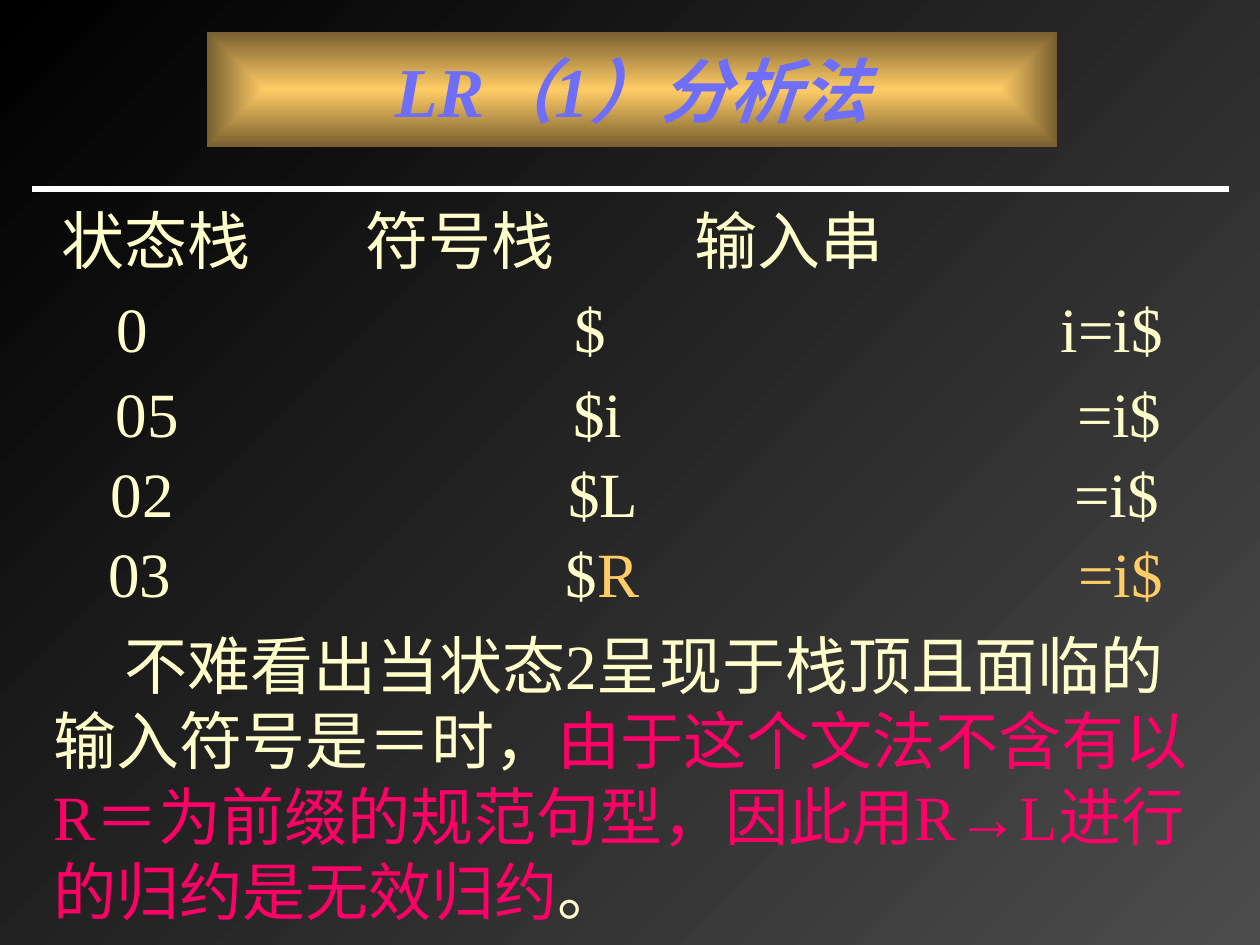
import pptx
import pptx.util
import pptx.dml.color
import pptx.enum.shapes
import pptx.enum.text
import pptx.oxml
import pptx.oxml.ns
import lxml.etree

WIDE, HIGH = 10, 7.5
CREAM, GOLD, PINK = "FFFFCC", "FFCC66", "FF0066"
SERIF, SANS = "Times New Roman", "Noto Sans CJK SC"
inch = pptx.util.Inches
qn = pptx.oxml.ns.qn


def hue(code):
    """Turn a hex string into a colour."""
    return pptx.dml.color.RGBColor.from_string(code)


def blend(fill, first, last):
    """Give a fill two gradient stops."""
    fill.gradient()
    for stop, code, spot in zip(fill.gradient_stops, (first, last), (0, 1)):
        stop.color.rgb = hue(code)
        stop.position = spot


def center(shape):
    """Make a shape's gradient spread from its middle as a rectangle."""
    grad = shape._element.spPr.find(qn("a:gradFill"))
    grad.remove(grad.find(qn("a:lin")))
    way = lxml.etree.SubElement(grad, qn("a:path"), path="rect")
    lxml.etree.SubElement(way, qn("a:fillToRect"),
                          {side: "50000" for side in "ltrb"})


def style(font, size, code, face):
    """Set size, colour and face of a font."""
    font.size = pptx.util.Pt(size)
    font.color.rgb = hue(code)
    font.name = face


def title(slide, text):
    """Draw the bevelled title plate."""
    plate = slide.shapes.add_shape(
        pptx.enum.shapes.MSO_SHAPE.RECTANGLE,
        inch(1.64), inch(0.25), inch(6.75), inch(0.92))
    plate.shadow.inherit = False
    plate.line.fill.background()
    blend(plate.fill, GOLD, "765E2F")
    center(plate)
    plate.text_frame.vertical_anchor = pptx.enum.text.MSO_ANCHOR.MIDDLE
    para = plate.text_frame.paragraphs[0]
    para.text = text
    para.alignment = pptx.enum.text.PP_ALIGN.CENTER
    style(para.font, 40, "6E6EF8", SERIF)
    para.font.bold = para.font.italic = True


def rule(slide, top):
    """Draw the white line under the title."""
    line = slide.shapes.add_connector(
        pptx.enum.shapes.MSO_CONNECTOR.STRAIGHT,
        inch(WIDE * 0.025), inch(top), inch(WIDE * 0.975), inch(top))
    line.line.color.rgb = hue("FFFFFF")
    line.line.width = pptx.util.Pt(3)
    lxml.etree.SubElement(line._element.spPr, qn("a:effectLst"))


def text(slide, box, parts, face=SERIF, tabs=(), indent=0):
    """Add a wrapped paragraph of coloured parts, with tab stops."""
    frame = slide.shapes.add_textbox(*map(inch, box)).text_frame
    frame.word_wrap = True
    para = frame.paragraphs[0]
    props = para._p.get_or_add_pPr()
    if indent:
        props.set("indent", str(inch(indent)))
    if tabs:
        stops = lxml.etree.SubElement(props, qn("a:tabLst"))
        for spot, side in tabs:
            lxml.etree.SubElement(stops, qn("a:tab"),
                                  pos=str(inch(spot)), algn=side)
    for words, code in parts:
        run = para.add_run()
        run.text = words
        style(run.font, 36, code, face)


def main():
    """Build the slide and save it."""
    deck = pptx.Presentation()
    deck.slide_width, deck.slide_height = inch(WIDE), inch(HIGH)
    slide = deck.slides.add_slide(deck.slide_layouts[6])
    back = slide.background.fill
    blend(back, "000000", "4C4C4C")
    back.gradient_angle = 315
    title(slide, "LR（1）分析法")
    rule(slide, HIGH / 5)
    text(slide, (0.39, 1.55, 9.33, 0.7), [("状态栈\t符号栈\t输入串", CREAM)],
         SANS, [(2.41, "l"), (5.02, "l")])
    rows = [
        (0.83, 2.25, 8.3, [("0\t$\ti=i$", CREAM)]),
        (0.82, 2.92, 8.3, [("05\t$i\t=i$", CREAM)]),
        (0.78, 3.56, 8.32, [("02\t$L\t=i$", CREAM)]),
        (0.76, 4.19, 8.37, [("03\t$", CREAM), ("R\t=i$", GOLD)]),
    ]
    for left, top, end, parts in rows:
        text(slide, (left, top, 8.75, 0.7), parts,
             tabs=[(3.63, "l"), (end, "r")])
    text(slide, (0.33, 4.92, 9.33, 2.5), [
        ("不难看出当状态2呈现于栈顶且面临的输入符号是＝时，", CREAM),
        ("由于这个文法不含有以R＝为前缀的规范句型，因此用R→L进行的归约是无效归约", PINK),
        ("。", CREAM)], indent=0.56)
    deck.save("out.pptx")


if __name__ == "__main__":
    main()
